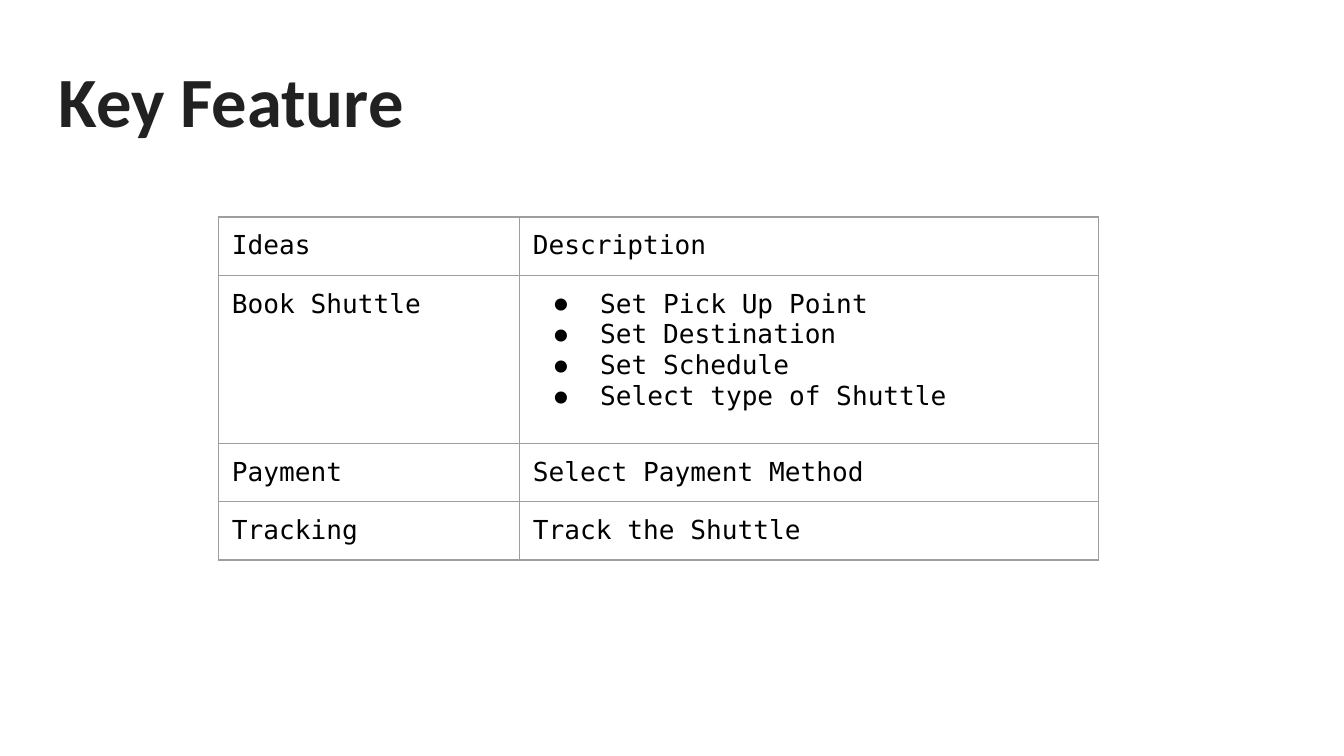
import pptx
import pptx.dml.color
import pptx.enum.text
import pptx.oxml.ns
import pptx.util
from lxml import etree

SCALE = 4572  # EMU per px, 200 px to the inch
COLORS = {"title": "212121", "text": "000000", "line": "9E9E9E"}
ROWS = [
    ("Ideas", "Description"),
    ("Book Shuttle", ["Set Pick Up Point", "Set Destination",
                      "Set Schedule", "Select type of Shuttle"]),
    ("Payment", "Select Payment Method"),
    ("Tracking", "Track the Shuttle"),
]


def px(count):
    return pptx.util.Emu(count * SCALE)


def add(parent, tag, **attrs):
    return etree.SubElement(parent, pptx.oxml.ns.qn(tag), attrs)


class Deck:
    inset = 20
    head = ("Calibri", 37.8, "title", True)
    body = ("DejaVu Sans Mono", 14, "text", False)

    def __init__(self, width, height):
        self.show = pptx.Presentation()
        self.show.slide_width = px(width)
        self.show.slide_height = px(height)
        self.slide = self.show.slides.add_slide(self.show.slide_layouts[6])

    def pad(self, item):
        """Set equal margins on a cell or a text frame."""
        item.margin_left = item.margin_right = px(self.inset)
        item.margin_top = item.margin_bottom = px(self.inset)

    def format(self, frame, style):
        name, size, color, bold = style
        for para in frame.paragraphs:
            for run in para.runs:
                font = run.font
                font.name, font.size, font.bold = name, pptx.util.Pt(size), bold
                font.color.rgb = pptx.dml.color.RGBColor.from_string(COLORS[color])

    def title(self, text, left, top, width, height):
        box = self.slide.shapes.add_textbox(*map(px, (left, top, width, height)))
        frame = box.text_frame
        frame.word_wrap = True
        frame.vertical_anchor = pptx.enum.text.MSO_ANCHOR.TOP
        self.pad(frame)
        frame.text = text
        self.format(frame, self.head)

    def bullet(self, para):
        props = para._p.get_or_add_pPr()
        props.set("marL", str(px(100)))
        props.set("indent", str(px(-70)))
        add(add(props, "a:buClr"), "a:srgbClr", val=COLORS["text"])
        add(props, "a:buFont", typeface=self.head[0])
        add(props, "a:buChar", char="●")

    def border(self, cell):
        props = cell._tc.get_or_add_tcPr()
        for side in "LRTB":
            line = add(props, f"a:ln{side}", w=str(pptx.util.Pt(0.75)))
            add(add(line, "a:solidFill"), "a:srgbClr", val=COLORS["line"])

    def cell(self, cell, content):
        """Fill a cell with plain text, or with bullets if given a list."""
        self.pad(cell)
        self.border(cell)
        cell.fill.background()
        frame = cell.text_frame
        if isinstance(content, list):
            frame.text = "\n".join(content)
            for para in frame.paragraphs:
                self.bullet(para)
        else:
            frame.text = content
        self.format(frame, self.body)

    def table(self, rows, left, top, widths, heights):
        shape = self.slide.shapes.add_table(
            len(rows), len(widths), px(left), px(top),
            px(sum(widths)), px(sum(heights)))
        table = shape.table
        table.first_row = table.horz_banding = False
        for col, width in zip(table.columns, widths):
            col.width = px(width)
        for row, height, texts in zip(table.rows, heights, rows):
            row.height = px(height)
            for cell, text in zip(row.cells, texts):
                self.cell(cell, text)


def main():
    deck = Deck(2000, 1125)
    deck.title("Key Feature", 68, 64, 1864, 176)
    deck.table(ROWS, 325, 323, [448, 862], [80, 250, 80, 80])
    deck.show.save("out.pptx")


if __name__ == "__main__":
    main()
